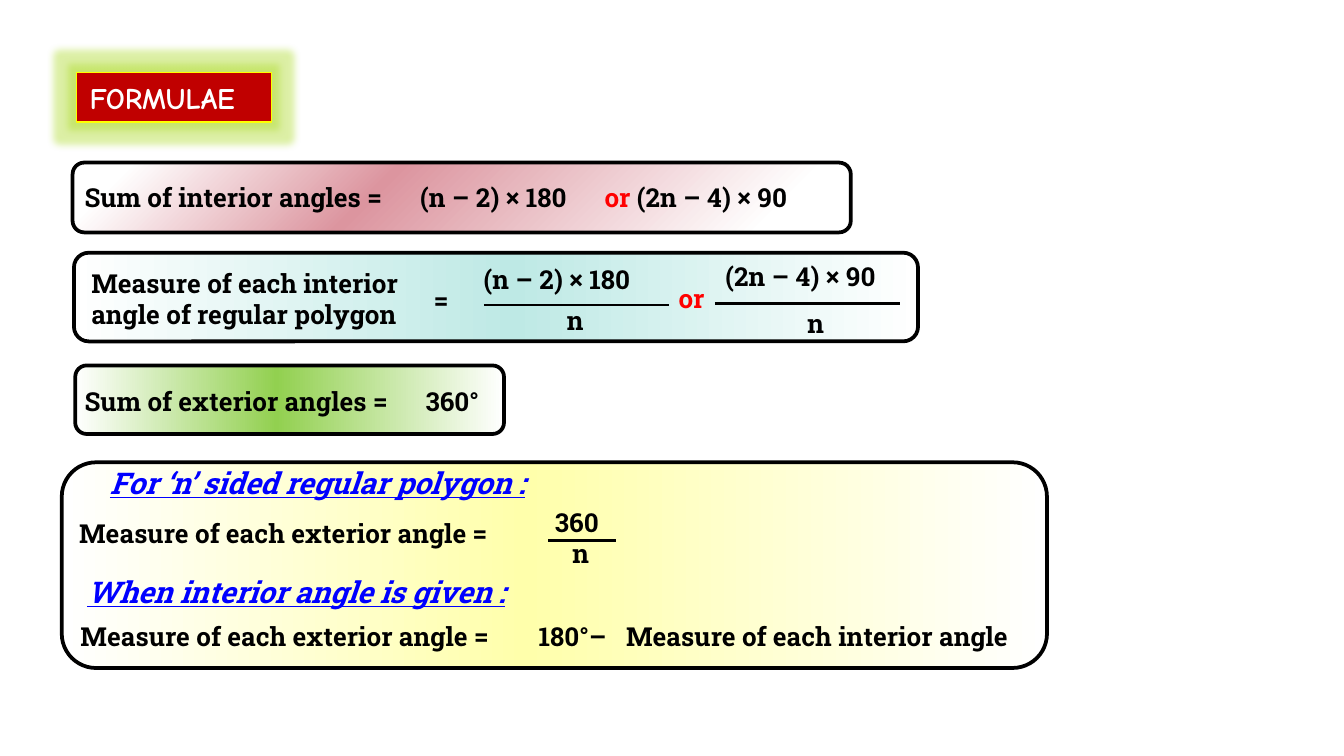
import lxml.etree
import pptx
import pptx.dml.color
import pptx.enum.shapes
import pptx.enum.text
import pptx.oxml
import pptx.oxml.ns
import pptx.util

Pt = pptx.util.Pt
qn = pptx.oxml.ns.qn
NAMESPACE = pptx.oxml.ns.nsdecls("a")
SHAPES = pptx.enum.shapes.MSO_SHAPE
BLACK, RED, BLUE = "000000", "FF0000", "0000FF"


def color(hex_string):
    return pptx.dml.color.RGBColor.from_string(hex_string)


def add_text(left, top, width, text, hex_color=BLACK, size=14, height=24.5):
    """Add a bold text box and return its paragraph."""
    box = slide.shapes.add_textbox(Pt(left), Pt(top), Pt(width), Pt(height))
    box.text_frame.word_wrap = True
    paragraph = box.text_frame.paragraphs[0]
    paragraph.text = text
    paragraph.font.name = "Roboto Slab"
    paragraph.font.size = Pt(size)
    paragraph.font.bold = True
    paragraph.font.color.rgb = color(hex_color)
    return paragraph


presentation = pptx.Presentation()
presentation.slide_width = Pt(720)
presentation.slide_height = Pt(405)
slide = presentation.slides.add_slide(presentation.slide_layouts[6])

# Formula panels: white at both ends, tinted in between
LINEAR = '<a:lin ang="10800000" scaled="0"/>'
CIRCULAR = '<a:path path="circle"><a:fillToRect l="100000" t="100000"/></a:path>'
panels = [
    (33.1, 247.7, 527.8, 110.2, "FFFFAB", (0, 53, 100), LINEAR),
    (40.3, 195.8, 229.7, 36.7, "92D050", (0, 53, 100), LINEAR),
    (39.6, 135.4, 452.2, 47.5, "BEE9E5", (0, 48, 100), LINEAR),
    (38.9, 87.1, 416.9, 37.4, "DC959F", (11, 61, 93), CIRCULAR),
]
for left, top, width, height, tint, positions, direction in panels:
    panel = slide.shapes.add_shape(
        SHAPES.ROUNDED_RECTANGLE, Pt(left), Pt(top), Pt(width), Pt(height))
    panel.shadow.inherit = False
    panel.line.color.rgb = color(BLACK)
    panel.line.width = Pt(2)
    panel.fill.gradient()
    stops = "".join(
        f'<a:gs pos="{position * 1000}"><a:srgbClr val="{stop}"/></a:gs>'
        for position, stop in zip(positions, ("FFFFFF", tint, "FFFFFF")))
    gradient = pptx.oxml.parse_xml(
        f'<a:gradFill {NAMESPACE} rotWithShape="1"><a:gsLst>{stops}</a:gsLst>{direction}</a:gradFill>')
    properties = panel.element.spPr
    properties.replace(properties.find(qn("a:gradFill")), gradient)

# Title label with a glow
label = slide.shapes.add_shape(SHAPES.RECTANGLE, Pt(41), Pt(38.9), Pt(104.4), Pt(26.6))
label.shadow.inherit = False
label.element.spPr.find(qn("a:effectLst")).append(pptx.oxml.parse_xml(
    f'<a:glow {NAMESPACE} rad="101600"><a:srgbClr val="A9DA1E">'
    '<a:alpha val="40000"/></a:srgbClr></a:glow>'))
label.fill.solid()
label.fill.fore_color.rgb = color("C00000")
label.line.color.rgb = color("FFFF00")
label.line.width = Pt(0.75)
paragraph = label.text_frame.paragraphs[0]
paragraph.text = "FORMULAE"
paragraph.alignment = pptx.enum.text.PP_ALIGN.LEFT
paragraph.font.name = "Comic Neue"
paragraph.font.size = Pt(16)
paragraph.font.bold = True
paragraph.font.color.rgb = color("FFFFFF")

# Sum of interior angles
add_text(38.2, 93.6, 196.6, "Sum of interior angles =")
add_text(218, 93.6, 112, "(n – 2) × 180")
paragraph = add_text(316.8, 93.6, 125.3, "or", RED)
alternative = paragraph.add_run()
alternative.text = " (2n – 4) × 90"
alternative.font.color.rgb = color(BLACK)

# Each interior angle
add_text(41.8, 139.7, 215.3, "Measure of each interior angle of regular polygon", height=41)
add_text(225.4, 149, 23, "=")
add_text(252, 137.5, 112, "(n – 2) × 180")
add_text(296.6, 159.8, 24.5, "n")
add_text(356.4, 147.6, 29.5, "or", RED)
add_text(381.6, 136.1, 110.2, "(2n – 4) × 90")
add_text(425.5, 161.3, 24.5, "n")

# Sum of exterior angles
add_text(38.2, 203, 193.7, "Sum of exterior angles =")
add_text(221, 203, 48.2, "360°")

# Each exterior angle
for left, top, heading in [
    (51.8, 245.5, "For ‘n’ sided regular polygon :"),
    (39.6, 303.8, "When interior angle is given :"),
]:
    paragraph = add_text(left, top, 271, heading, BLUE, size=16, height=26.6)
    paragraph.font.italic = True
    paragraph.font.underline = True
add_text(35.3, 273.6, 258.5, "Measure of each exterior angle =")
add_text(290.2, 267.8, 42.5, "360")
add_text(299.5, 284.4, 24.5, "n")
add_text(36, 329, 258.5, "Measure of each exterior angle =")
add_text(281.5, 329, 55.4, "180°–")
add_text(328.3, 329, 238.3, "Measure of each interior angle")

# Fraction bars
for left, right, height in [(259.2, 358.6, 163.4), (383, 482.4, 162.7), (293.8, 329.8, 289.4)]:
    bar = slide.shapes.add_connector(
        pptx.enum.shapes.MSO_CONNECTOR.STRAIGHT, Pt(left), Pt(height), Pt(right), Pt(height))
    bar.line.color.rgb = color(BLACK)
    bar.line.width = Pt(1.5)
    lxml.etree.SubElement(bar.element.spPr, qn("a:effectLst"))

presentation.save("out.pptx")
